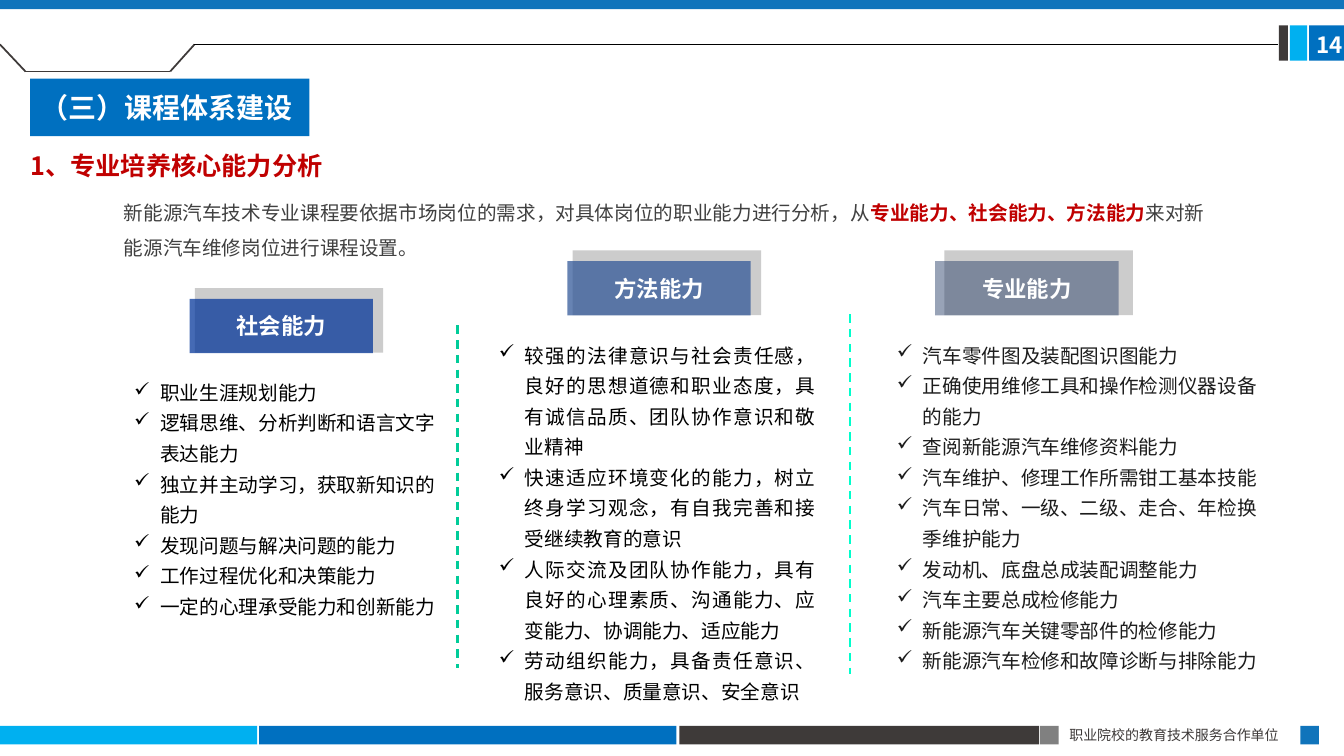
from lxml import etree
from pptx import Presentation
from pptx.dml.color import RGBColor
from pptx.enum import dml, shapes, text
from pptx.oxml.ns import qn
from pptx.util import Cm, Pt

FONT = "Noto Sans CJK SC"
ALIGN = text.PP_ALIGN
INSETS = (0.2, 0.1)
SOCIAL = ["职业生涯规划能力", "逻辑思维、分析判断和语言文字表达能力",
          "独立并主动学习，获取新知识的能力", "发现问题与解决问题的能力",
          "工作过程优化和决策能力", "一定的心理承受能力和创新能力"]
METHOD = ["较强的法律意识与社会责任感，良好的思想道德和职业态度，具有诚信品质、团队协作意识和敬业精神",
          "快速适应环境变化的能力，树立终身学习观念，有自我完善和接受继续教育的意识",
          "人际交流及团队协作能力，具有良好的心理素质、沟通能力、应变能力、协调能力、适应能力",
          "劳动组织能力，具备责任意识、服务意识、质量意识、安全意识"]
PROFESSIONAL = ["汽车零件图及装配图识图能力", "正确使用维修工具和操作检测仪器设备的能力",
                "查阅新能源汽车维修资料能力", "汽车维护、修理工作所需钳工基本技能",
                "汽车日常、一级、二级、走合、年检换季维护能力", "发动机、底盘总成装配调整能力",
                "汽车主要总成检修能力", "新能源汽车关键零部件的检修能力",
                "新能源汽车检修和故障诊断与排除能力"]


def paint(fmt, color):
    """Give a fill a solid hex colour."""
    fmt.solid()
    fmt.fore_color.rgb = RGBColor.from_string(color)


def style(r, size, color, bold=False, latin=FONT):
    """Format a run, with the same East Asian font throughout."""
    r.font.name, r.font.size, r.font.bold = latin, Pt(size), bold
    etree.SubElement(r._r.get_or_add_rPr(), qn("a:ea"), typeface=FONT)
    paint(r.font.fill, color)


def set_frame(tf, insets=(0.25, 0.13), anchor=text.MSO_ANCHOR.TOP, wrap=True):
    """Set wrapping, anchor and insets of a text frame."""
    tf.word_wrap, tf.vertical_anchor = wrap, anchor
    tf.auto_size = text.MSO_AUTO_SIZE.NONE
    tf.margin_left = tf.margin_right = Cm(insets[0])
    tf.margin_top = tf.margin_bottom = Cm(insets[1])


def add_rect(s, x, y, w, h, color, alpha=None):
    """Add a borderless rectangle, optionally translucent."""
    sp = s.shapes.add_shape(shapes.MSO_SHAPE.RECTANGLE, Cm(x), Cm(y), Cm(w), Cm(h))
    sp.shadow.inherit = False
    paint(sp.fill, color)
    sp.line.fill.background()
    if alpha:
        clr = sp._element.spPr.find(".//" + qn("a:srgbClr"))
        etree.SubElement(clr, qn("a:alpha"), val=str(alpha * 1000))
    return sp


def add_line(s, x1, y1, x2, y2, color, width, dashed=False):
    """Add a straight line without shadow."""
    ln = s.shapes.add_connector(shapes.MSO_CONNECTOR.STRAIGHT, Cm(x1), Cm(y1), Cm(x2), Cm(y2))
    paint(ln.line.fill, color)
    ln.line.width = Pt(width)
    if dashed:
        ln.line.dash_style = dml.MSO_LINE.DASH
    etree.SubElement(ln._element.spPr, qn("a:effectLst"))


def add_text(s, x, y, w, h, runs, size, spacing=1.0, align=ALIGN.LEFT, **frame):
    """Add a one-paragraph text box from (text, colour, bold) runs."""
    tf = s.shapes.add_textbox(Cm(x), Cm(y), Cm(w), Cm(h)).text_frame
    set_frame(tf, **frame)
    p = tf.paragraphs[0]
    p.alignment, p.line_spacing = align, spacing
    for words, color, bold in runs:
        r = p.add_run()
        r.text = words
        style(r, size, color, bold)
    return p


def add_list(s, x, y, w, h, items, color, align=ALIGN.LEFT):
    """Add a check-marked list."""
    tf = s.shapes.add_textbox(Cm(x), Cm(y), Cm(w), Cm(h)).text_frame
    set_frame(tf, INSETS)
    tf.text = "\n".join(items)
    for p in tf.paragraphs:
        pPr = p._p.get_or_add_pPr()
        pPr.set("marL", str(Cm(0.66)))
        pPr.set("indent", str(-Cm(0.66)))
        etree.SubElement(pPr, qn("a:buChar"), char="✓")
        p.alignment, p.line_spacing = align, 1.3
        style(p.runs[0], 14, color)


def add_tag(s, x, y, offset, label, color, alpha):
    """Add a translucent heading box over its grey backing."""
    add_rect(s, x + offset, y - 0.27, 4.75, 1.63, "CCCCCC")
    sp = add_rect(s, x, y, 4.62, 1.37, color, alpha)
    tf = sp.text_frame
    set_frame(tf, INSETS, text.MSO_ANCHOR.MIDDLE)
    tf.text = label
    tf.paragraphs[0].alignment = ALIGN.CENTER
    style(tf.paragraphs[0].runs[0], 16, "FFFFFF", True)


def add_title(s, words):
    """Place and format the slide title."""
    sp = s.shapes.title
    sp.left, sp.top, sp.width, sp.height = Cm(0.76), Cm(1.98), Cm(7.04), Cm(1.45)
    paint(sp.fill, "0070C0")
    tf = sp.text_frame
    tf.text = words
    set_frame(tf, anchor=text.MSO_ANCHOR.MIDDLE)
    tf.paragraphs[0].alignment = ALIGN.LEFT
    style(tf.paragraphs[0].runs[0], 20, "FFFFFF", True, "Calibri")


def add_frame(s):
    """Draw the header and footer decoration."""
    for x, w, color in [(0, 6.48, "00B0F0"), (6.53, 10.52, "0070C0"), (17.12, 9.07, "3E3A39"),
                        (26.21, 0.47, "808080"), (32.77, 0.47, "1074BB")]:
        add_rect(s, x, 18.29, w, 0.47, color)
    add_text(s, 26.7, 18.19, 6.1, 0.69, [("职业院校的教育技术服务合作单位", "3E3A39", False)],
             10, align=ALIGN.JUSTIFY)
    for x, w, color in [(32.99, 0.88, "0070C0"), (32.51, 0.43, "00B0F0"), (32.23, 0.23, "3E3A39")]:
        add_rect(s, x, 0.64, w, 0.89, color)
    add_rect(s, 0, 0, 33.87, 0.23, "1074BB")
    notch = [(0, 1.12), (0.64, 1.8), (4.29, 1.8), (4.9, 1.12)]
    for start, end in zip(notch, notch[1:]):
        add_line(s, *start, *end, "3E3A39", 1.25)
    add_line(s, 4.9, 1.12, 32.21, 1.12, "000000", 0.5)
    add_text(s, 32.92, 0.66, 0.95, 0.94, [("14", "FFFFFF", True)], 16, wrap=False)


def main():
    """Build the slide and save it."""
    prs = Presentation()
    prs.slide_width, prs.slide_height = Cm(33.87), Cm(19.05)
    s = prs.slides.add_slide(prs.slide_layouts[5])
    add_frame(s)
    add_title(s, "（三）课程体系建设")
    p = add_text(s, -0.48, 3.28, 9.35, 1.27, [("1、专业培养核心能力分析", "C00000", True)], 18, 1.5)
    p._p.get_or_add_pPr().set("indent", str(Cm(1)))
    p = add_text(s, 2.92, 4.67, 27.86, 2.01, [
        ("新能源汽车技术专业课程要依据市场岗位的需求，对具体岗位的职业能力进行分析，从", "404040", False),
        ("专业能力、社会能力、方法能力", "C00000", True),
        ("来对新能源汽车维修岗位进行课程设置。", "404040", False)], 14, 1.5, insets=INSETS)
    p.space_after = Pt(9.4)
    add_tag(s, 14.3, 6.58, 0.13, "方法能力", "2F5597", 73)
    add_tag(s, 23.57, 6.58, 0.23, "专业能力", "203864", 46)
    add_tag(s, 4.78, 7.53, 0.13, "社会能力", "003399", 73)
    add_line(s, 11.53, 8.2, 11.53, 16.84, "00CC99", 1.5, True)
    add_line(s, 21.41, 7.92, 21.41, 16.99, "00FFCC", 1.5, True)
    add_list(s, 3.18, 9.32, 8.26, 6.35, SOCIAL, "000000")
    add_list(s, 12.37, 8.38, 8.38, 9.55, METHOD, "000000", ALIGN.JUSTIFY)
    add_list(s, 22.4, 8.38, 9.53, 8.76, PROFESSIONAL, "1C1C1C")
    prs.save("out.pptx")


if __name__ == "__main__":
    main()
